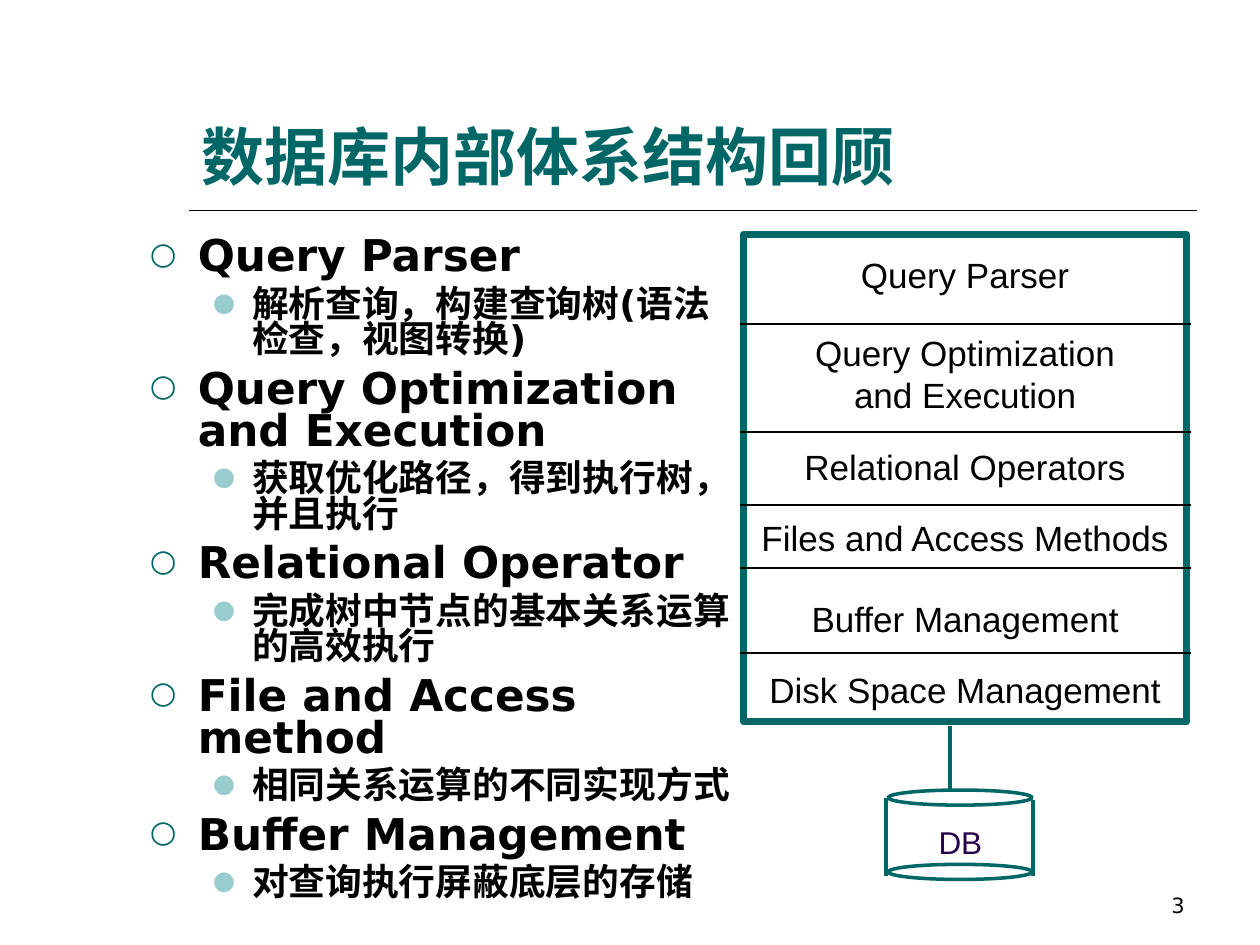
from lxml import etree
from pptx import Presentation
from pptx.dml.color import RGBColor
from pptx.enum.shapes import MSO_CONNECTOR, MSO_SHAPE
from pptx.enum.text import MSO_ANCHOR, MSO_AUTO_SIZE, PP_ALIGN
from pptx.oxml.ns import qn
from pptx.util import Inches, Pt

LINE = MSO_CONNECTOR.STRAIGHT
RECT, OVAL = MSO_SHAPE.RECTANGLE, MSO_SHAPE.OVAL
LEFT, MID, RIGHT = PP_ALIGN.LEFT, PP_ALIGN.CENTER, PP_ALIGN.RIGHT
TOP, BOTTOM = MSO_ANCHOR.TOP, MSO_ANCHOR.BOTTOM
NO_FIT = MSO_AUTO_SIZE.NONE

HUES = {"teal": "006666", "mint": "99CCCC", "ink": "000000", "plum": "280049"}
SANS, WIDE = "Arial", "DejaVu Sans"

TOPICS = [
    ("Query Parser", "解析查询，构建查询树(语法检查，视图转换)"),
    ("Query Optimization and Execution", "获取优化路径，得到执行树，并且执行"),
    ("Relational Operator", "完成树中节点的基本关系运算的高效执行"),
    ("File and Access method", "相同关系运算的不同实现方式"),
    ("Buffer Management", "对查询执行屏蔽底层的存储"),
]
# Label lines, label width, label top and band foot, both from the stack's top
LAYERS = [
    (["Query Parser"], 1.93, 0.1, 0.71),
    (["Query Optimization", "and Execution"], 2.58, 0.72, 1.57),
    (["Relational Operators"], 2.76, 1.63, 2.15),
    (["Files and Access Methods"], 3.45, 2.19, 2.65),
    (["Buffer Management"], 2.65, 2.83, 3.32),
    (["Disk Space Management"], 3.31, 3.4, 3.87),
]
# Size, space before, left margin, hanging indent, bullet, bullet hue
LEVELS = [
    (25, 6.2, 0.38, 0.38, "○", "teal"),
    (21, 5.2, 0.81, 0.31, "●", "mint"),
]


def hue(name):
    return RGBColor.from_string(HUES[name])


def place(shape, box):
    shape.left, shape.top, shape.width, shape.height = map(Inches, box)


def add_run(para, text, size, font, color, bold=False):
    run = para.add_run()
    run.text = text
    run.font.size, run.font.name, run.font.bold = Pt(size), font, bold
    run.font.color.rgb = hue(color)


def label(slide, box, lines, size, font=SANS, color="ink", align=MID, wrap=False):
    frame = slide.shapes.add_textbox(*map(Inches, box)).text_frame
    frame.word_wrap = wrap
    for i, text in enumerate(lines):
        para = frame.add_paragraph() if i else frame.paragraphs[0]
        para.alignment = align
        add_run(para, text, size, font, color)
    return frame


def rule(slide, start, end, color="ink", width=1):
    line = slide.shapes.add_connector(LINE, *map(Inches, (*start, *end)))
    line.line.color.rgb, line.line.width = hue(color), Pt(width)
    etree.SubElement(line._element.spPr, qn("a:effectLst"))


def outline(slide, kind, box, width):
    shape = slide.shapes.add_shape(kind, *map(Inches, box))
    shape.shadow.inherit = False
    shape.fill.background()
    shape.line.color.rgb, shape.line.width = hue("teal"), Pt(width)


def bullet(para, mark, color):
    props = para._p.get_or_add_pPr()
    tint = etree.SubElement(props, qn("a:buClr"))
    etree.SubElement(tint, qn("a:srgbClr"), val=HUES[color])
    etree.SubElement(props, qn("a:buSzPct"), val="70000")
    etree.SubElement(props, qn("a:buFont"), typeface=WIDE)
    etree.SubElement(props, qn("a:buChar"), char=mark)


def heading(slide, box):
    title = slide.shapes.title
    place(title, box)
    frame = title.text_frame
    frame.auto_size, frame.vertical_anchor = NO_FIT, BOTTOM
    para = frame.paragraphs[0]
    para.alignment = LEFT
    add_run(para, "数据库内部体系结构回顾", 36, SANS, "teal", True)
    x, y, w, h = box
    rule(slide, (x, y + h + 0.09), (x + w, y + h + 0.09))


def outline_list(slide, box):
    """Fill the body with topics, each followed by its detail."""
    body = slide.placeholders[1]
    place(body, box)
    frame = body.text_frame
    frame.auto_size, frame.vertical_anchor = NO_FIT, TOP
    rows = [(lvl, text) for pair in TOPICS for lvl, text in enumerate(pair)]
    for i, (lvl, text) in enumerate(rows):
        size, gap, margin, hang, mark, color = LEVELS[lvl]
        para = frame.add_paragraph() if i else frame.paragraphs[0]
        para.level, para.line_spacing, para.space_before = lvl, 0.8, Pt(gap)
        props = para._p.get_or_add_pPr()
        props.set("marL", str(Inches(margin)))
        props.set("indent", str(-Inches(hang)))
        bullet(para, mark, color)
        add_run(para, text, size, WIDE, "ink", True)


def stack(slide, box):
    """Draw the framed layers, with a rule under all but the last."""
    x, y, w, h = box
    outline(slide, RECT, box, 4)
    for lines, wide, top, foot in LAYERS:
        tall = 0.1 + 0.33 * len(lines)
        label(slide, (x + (w - wide) / 2, y + top, wide, tall), lines, 20)
        if foot < h:
            rule(slide, (x - 0.03, y + foot), (x + w + 0.03, y + foot))


def store(slide, box):
    """Draw the database drum and the line that joins it to the stack."""
    x, y, w, h = box
    lid = 0.12
    for top in (y, y + h - lid):
        outline(slide, OVAL, (x, top, w, lid), 2)
    for side, drop in ((x - 0.02, 0.06), (x + w + 0.01, 0.08)):
        rule(slide, (side, y + drop), (side, y + h - 0.03), "teal", 2)
    label(slide, (x + 0.3, y + 0.21, 0.55, 0.4), ["DB"], 18, color="plum", align=LEFT)
    joint = x + 0.49
    rule(slide, (joint, y - 0.51), (joint, y), "teal", 2)


def main():
    deck = Presentation()
    deck.slide_width, deck.slide_height = Inches(10), Inches(7.5)
    slide = deck.slides.add_slide(deck.slide_layouts[1])
    heading(slide, (1.5, 0.33, 8, 1.25))
    outline_list(slide, (1.09, 1.84, 4.92, 5.66))
    stack(slide, (5.9, 1.86, 3.52, 3.87))
    store(slide, (7.05, 6.27, 1.14, 0.71))
    page = label(slide, (7.17, 6.83, 2.33, 0.5), ["3"], 12, WIDE, align=RIGHT, wrap=True)
    page.vertical_anchor = BOTTOM
    deck.save("out.pptx")


if __name__ == "__main__":
    main()
